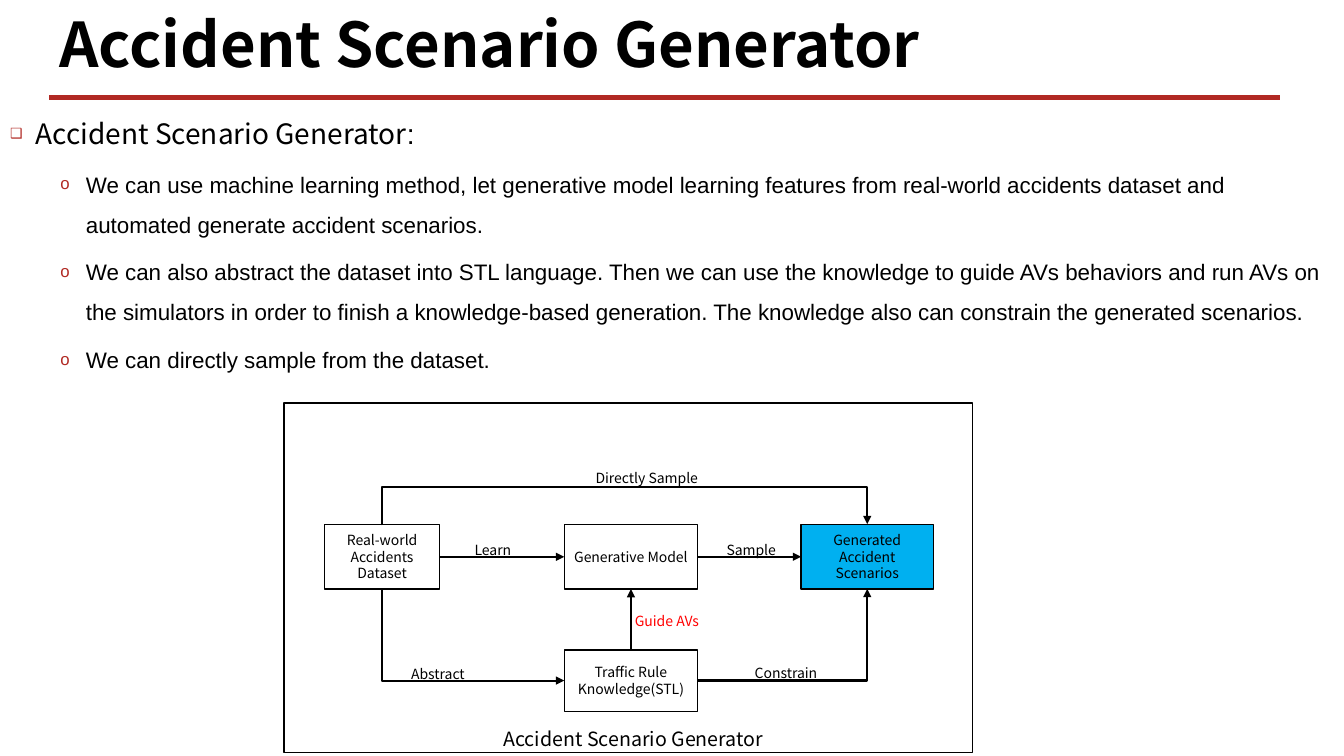
"""Build the Accident Scenario Generator slide."""
from lxml import etree
from pptx import Presentation
from pptx.dml.color import RGBColor
from pptx.enum.shapes import MSO_CONNECTOR, MSO_SHAPE
from pptx.enum.text import MSO_ANCHOR, MSO_AUTO_SIZE, PP_ALIGN
from pptx.oxml.ns import qn
from pptx.util import Cm, Pt

RECTANGLE = MSO_SHAPE.RECTANGLE
STRAIGHT, ELBOW = MSO_CONNECTOR.STRAIGHT, MSO_CONNECTOR.ELBOW
LEFT, CENTER = PP_ALIGN.LEFT, PP_ALIGN.CENTER
MIDDLE, TOP = MSO_ANCHOR.MIDDLE, MSO_ANCHOR.TOP
NO_AUTOFIT = MSO_AUTO_SIZE.NONE

HEAD_FONT, BODY_FONT = "Noto Sans CJK SC", "Arial"
BLACK, WHITE, RED, CRIMSON, BLUE = "000000", "FFFFFF", "FF0000", "B12923", "00B0F0"

TOPIC = "Accident Scenario Generator"
POINTS = [
    "We can use machine learning method, let generative model learning features from "
    "real-world accidents dataset and automated generate accident scenarios.",
    "We can also abstract the dataset into STL language. Then we can use the knowledge "
    "to guide AVs behaviors and run AVs on the simulators in order to finish a "
    "knowledge-based generation. The knowledge also can constrain the generated scenarios.",
    "We can directly sample from the dataset.",
]

ROW_TOP, ROW_HEIGHT = 13.21, 1.63
ROW_MIDDLE, ROW_BOTTOM = 14.03, 14.84
RULE_TOP, RULE_HEIGHT, RULE_MIDDLE = 16.38, 1.55, 17.15
DATASET_LEFT, DATASET_WIDTH = 8.18, 2.9
MODEL_LEFT, MODEL_WIDTH = 14.22, 3.36
SCENARIO_LEFT, SCENARIO_WIDTH = 20.19, 3.33
DATASET_RIGHT = DATASET_LEFT + DATASET_WIDTH
MODEL_RIGHT = MODEL_LEFT + MODEL_WIDTH
DATASET_CENTER = DATASET_LEFT + DATASET_WIDTH / 2
MODEL_CENTER = MODEL_LEFT + MODEL_WIDTH / 2
SCENARIO_CENTER = SCENARIO_LEFT + SCENARIO_WIDTH / 2


def colour(value):
    """Turn a hex string into a colour."""
    return RGBColor.from_string(value)


def add_run(paragraph, text, size, font=HEAD_FONT, shade=BLACK, bold=False):
    """Append one formatted run."""
    run = paragraph.add_run()
    run.text = text
    run.font.size, run.font.name, run.font.bold = Pt(size), font, bold
    run.font.color.rgb = colour(shade)


def place(shape, left, top, width, height):
    """Move and size a shape, in centimetres."""
    shape.left, shape.top = Cm(left), Cm(top)
    shape.width, shape.height = Cm(width), Cm(height)


def add_bullet(paragraph, mark, percent, indent):
    """Give a paragraph a coloured bullet and a hanging indent."""
    props = paragraph._p.get_or_add_pPr()
    props.set("marL", str(Cm(indent)))
    props.set("indent", str(-Cm(0.64)))
    tint = etree.SubElement(props, qn("a:buClr"))
    etree.SubElement(tint, qn("a:srgbClr"), val=CRIMSON)
    etree.SubElement(props, qn("a:buSzPct"), val=str(percent * 1000))
    etree.SubElement(props, qn("a:buFont"), typeface=BODY_FONT)
    etree.SubElement(props, qn("a:buChar"), char=mark)


def fill_title(title):
    """Write the slide title."""
    place(title, 1.24, 0, 31.01, 2.41)
    frame = title.text_frame
    frame.auto_size, frame.vertical_anchor = NO_AUTOFIT, MIDDLE
    heading = frame.paragraphs[0]
    heading.alignment, heading.line_spacing = LEFT, 0.9
    add_run(heading, TOPIC, 44, bold=True)


def fill_body(body):
    """Write the heading line and its bulleted points."""
    place(body, 0, 2.9, 33.87, 14.33)
    frame = body.text_frame
    frame.auto_size, frame.vertical_anchor = NO_AUTOFIT, TOP
    lead = frame.paragraphs[0]
    lead.line_spacing, lead.space_before = 0.9, Pt(10)
    add_bullet(lead, "❑", 50, 0.64)
    add_run(lead, TOPIC, 20)
    add_run(lead, ":", 20, BODY_FONT)
    for text in POINTS:
        point = frame.add_paragraph()
        point.level, point.line_spacing, point.space_before = 1, 1.5, Pt(5)
        add_bullet(point, "o", 75, 1.91)
        add_run(point, text, 16, BODY_FONT)


def add_box(slide, left, top, width, height, text="", fill=WHITE):
    """Draw an outlined box with centred text."""
    box = slide.shapes.add_shape(RECTANGLE, Cm(left), Cm(top), Cm(width), Cm(height))
    box.shadow.inherit = False
    box.fill.solid()
    box.fill.fore_color.rgb = colour(fill)
    box.line.color.rgb, box.line.width = colour(BLACK), Pt(1)
    if text:
        box.text_frame.vertical_anchor = MIDDLE
        box.text_frame.paragraphs[0].alignment = CENTER
        add_run(box.text_frame.paragraphs[0], text, 10)


def add_label(slide, left, top, width, text, shade=BLACK, size=10, align=LEFT):
    """Write a caption in a text box."""
    label = slide.shapes.add_textbox(Cm(left), Cm(top), Cm(width), Cm(size * 0.065))
    label.text_frame.word_wrap = True
    label.text_frame.paragraphs[0].alignment = align
    add_run(label.text_frame.paragraphs[0], text, size, shade=shade)


def add_line(slide, start, end, kind=STRAIGHT, shade=BLACK, weight=1.5, arrow=True):
    """Draw a connector, with an arrowhead at its end if wanted."""
    line = slide.shapes.add_connector(kind, *map(Cm, start + end))
    line.line.color.rgb, line.line.width = colour(shade), Pt(weight)
    if arrow:
        etree.SubElement(line.line._get_or_add_ln(), qn("a:tailEnd"), type="triangle")
    etree.SubElement(line._element.spPr, qn("a:effectLst"))
    return line


def add_elbow(slide, start, end, preset, turn=0, flips=(), rise=None):
    """Draw a bent arrow, turned by whole degrees and flipped as named."""
    elbow = add_line(slide, start, end, ELBOW)
    width, height = abs(end[0] - start[0]), abs(end[1] - start[1])
    middle_x, middle_y = (start[0] + end[0]) / 2, (start[1] + end[1]) / 2
    if turn:
        width, height = height, width
    place(elbow, middle_x - width / 2, middle_y - height / 2, width, height)
    frame = elbow._element.spPr.find(qn("a:xfrm"))
    for flip in ("flipH", "flipV"):
        frame.set(flip, str(int(flip in flips)))
    frame.set("rot", str(turn * 60000))
    geometry = elbow._element.spPr.find(qn("a:prstGeom"))
    geometry.set("prst", preset)
    if rise:
        guides = geometry.find(qn("a:avLst"))
        ratio = round(rise / width * 100000)
        etree.SubElement(guides, qn("a:gd"), name="adj1", fmla=f"val {ratio}")


def add_diagram(slide):
    """Draw the generator diagram."""
    add_box(slide, 7.16, 10.16, 17.35, 8.81)
    add_box(slide, DATASET_LEFT, ROW_TOP, DATASET_WIDTH, ROW_HEIGHT,
            "Real-world Accidents Dataset")
    add_box(slide, MODEL_LEFT, ROW_TOP, MODEL_WIDTH, ROW_HEIGHT, "Generative Model")
    add_box(slide, SCENARIO_LEFT, ROW_TOP, SCENARIO_WIDTH, ROW_HEIGHT,
            "Generated Accident Scenarios", BLUE)
    add_box(slide, MODEL_LEFT, RULE_TOP, MODEL_WIDTH, RULE_HEIGHT,
            "Traffic Rule Knowledge(STL)")

    add_line(slide, (DATASET_RIGHT, ROW_MIDDLE), (MODEL_LEFT, ROW_MIDDLE))
    add_line(slide, (MODEL_RIGHT, ROW_MIDDLE), (SCENARIO_LEFT, ROW_MIDDLE))
    add_line(slide, (MODEL_CENTER, RULE_TOP), (MODEL_CENTER, ROW_BOTTOM))
    add_elbow(slide, (DATASET_CENTER, ROW_BOTTOM), (MODEL_LEFT, RULE_MIDDLE),
              "bentConnector2", 270, ("flipH",))
    add_elbow(slide, (MODEL_RIGHT, RULE_MIDDLE), (SCENARIO_CENTER, ROW_BOTTOM),
              "bentConnector2", flips=("flipV",))
    add_elbow(slide, (DATASET_CENTER, ROW_TOP + 0.03), (SCENARIO_CENTER, ROW_TOP),
              "bentConnector3", 90, ("flipH", "flipV"), 0.97)

    add_label(slide, 11.71, 13.51, 2.36, "Learn")
    add_label(slide, 18.06, 13.51, 2.36, "Sample")
    add_label(slide, 10.11, 16.64, 2.36, "Abstract")
    add_label(slide, 15.75, 15.32, 2.36, "Guide AVs", RED)
    add_label(slide, 18.77, 16.61, 2.36, "Constrain")
    add_label(slide, 14.76, 11.71, 3.89, "Directly Sample")
    add_label(slide, 12.32, 18.19, 7.29, TOPIC, size=14, align=CENTER)


def main():
    """Assemble and save the slide."""
    deck = Presentation()
    deck.slide_width, deck.slide_height = Cm(33.87), Cm(19.05)
    slide = deck.slides.add_slide(deck.slide_layouts[1])
    add_line(slide, (1.24, 2.46), (32.26, 2.46), shade=CRIMSON, weight=3.25, arrow=False)
    fill_title(slide.shapes.title)
    fill_body(slide.placeholders[1])
    add_diagram(slide)
    deck.save("out.pptx")


if __name__ == "__main__":
    main()
